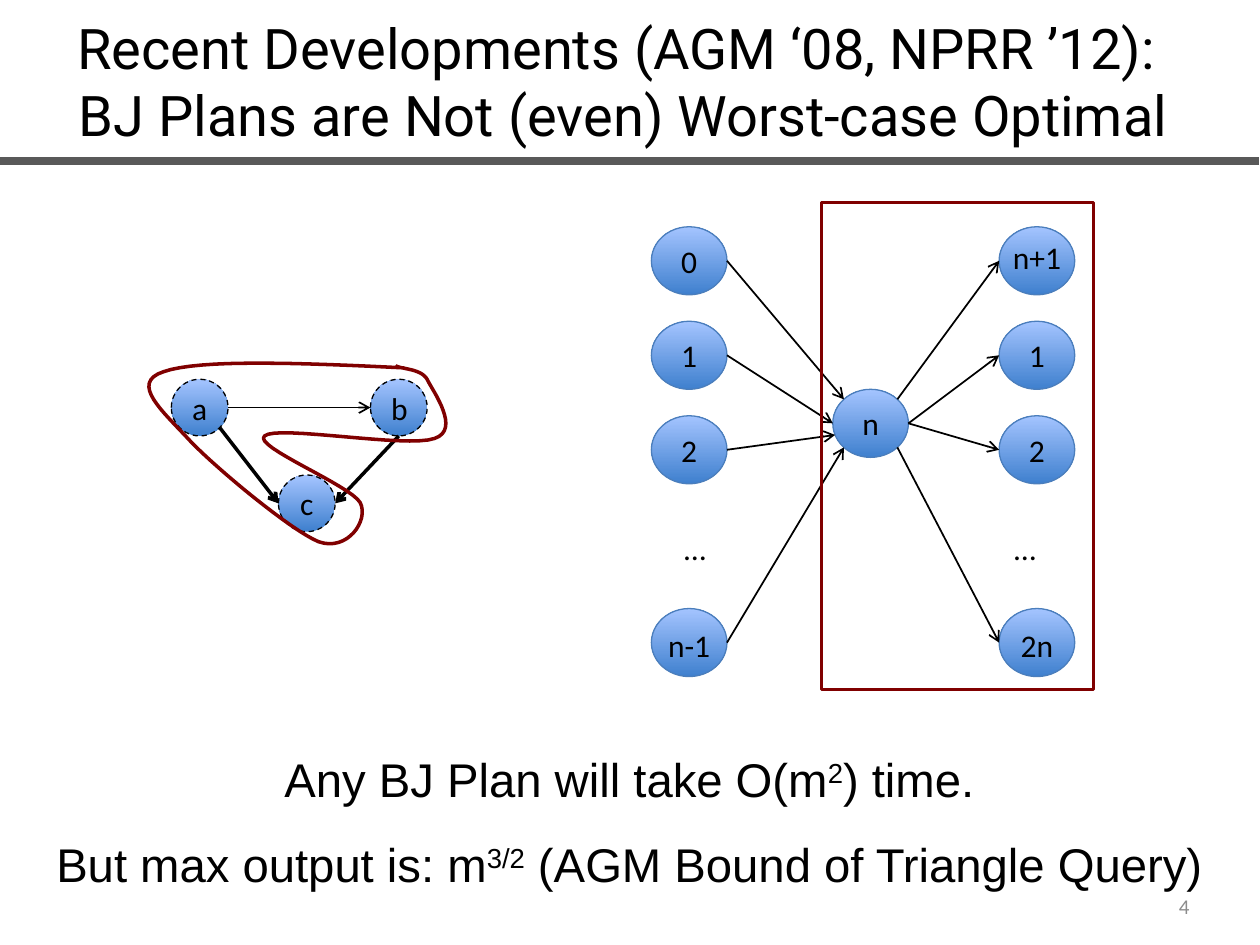
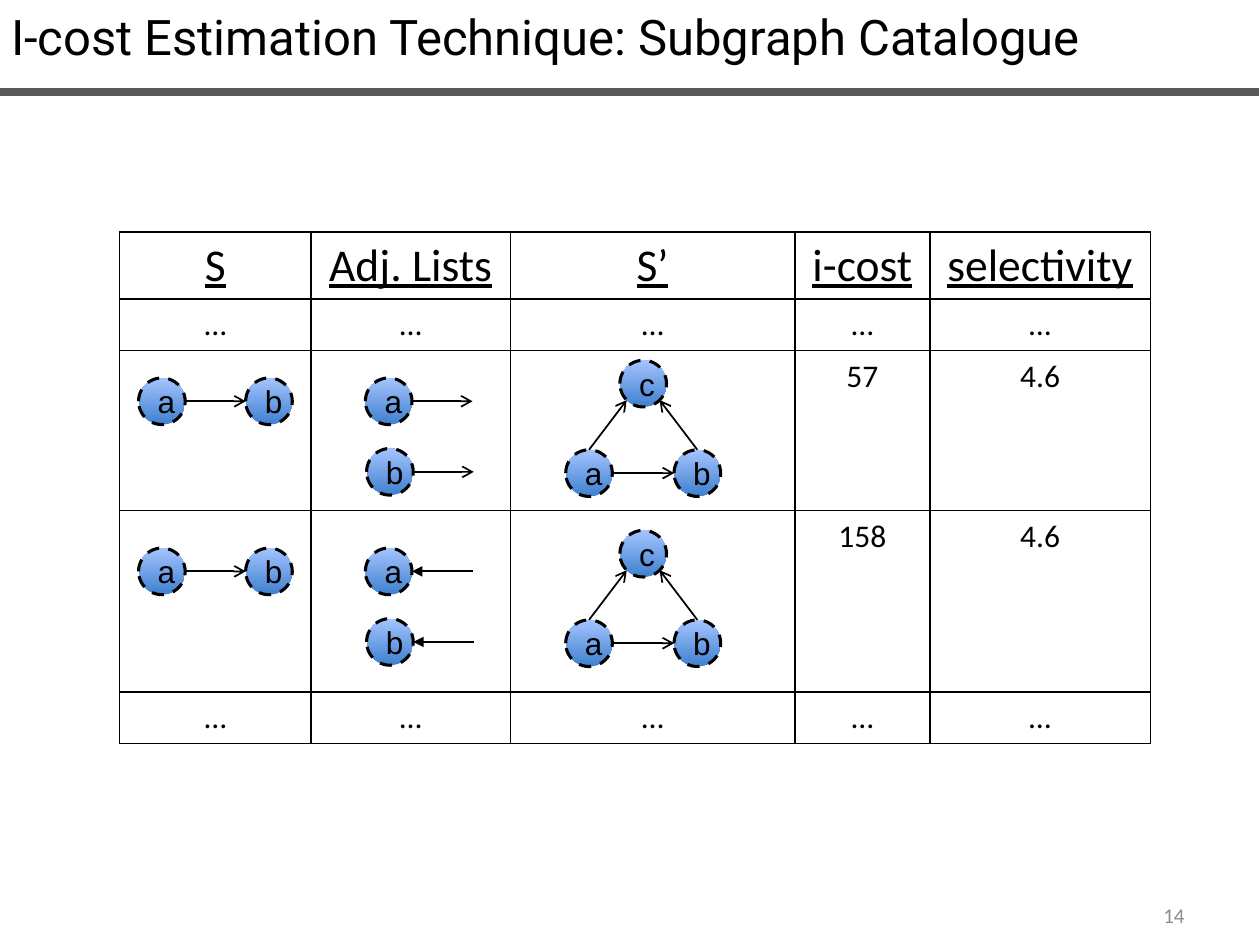
"""Build two slides on join plans and the subgraph catalogue."""
import math

from lxml import etree
from pptx import Presentation
from pptx import util as u
from pptx.dml.color import RGBColor
from pptx.enum import dml, shapes, text
from pptx.oxml.ns import qn

PX = u.Inches(1) // 100
COLOURS = {
    "ink": "000000",
    "band": "595959",
    "number": "8C8C8C",
    "node_low": "3F80CE",
    "node_high": "A4C4FF",
    "node_rim": "4B7EBC",
    "outline": "800000",
}
CENTER = text.PP_ALIGN.CENTER
TITLE = {"name": "Roboto"}
LABEL = {"name": "Calibri", "size": u.Pt(18)}
ARIAL_LABEL = {"name": "Arial", "size": u.Pt(18)}
BODY = {"name": "Arial", "size": u.Pt(27)}
HEADER = {"name": "Calibri", "size": u.Pt(26), "underline": True, "bold": False}
NUMBER = {"name": "Calibri", "size": u.Pt(12)}


def px(*lengths):
    return [round(length * PX) for length in lengths]


def rgb(name):
    return RGBColor.from_string(COLOURS[name])


def set_values(target, values):
    for name, value in values.items():
        setattr(target, name, value)


def set_line(line, colour, points, dashed=False):
    line.color.rgb = rgb(colour)
    line.width = u.Pt(points)
    if dashed:
        line.dash_style = dml.MSO_LINE.DASH


def write(frame, lines, font, colour="ink", align=CENTER, spacing=None):
    """Write lines of runs, in which every second run is superscript."""
    for index, runs in enumerate(lines):
        paragraph = frame.add_paragraph() if index else frame.paragraphs[0]
        set_values(paragraph, {"alignment": align, "line_spacing": spacing})
        for position, words in enumerate(runs):
            run = paragraph.add_run()
            run.text = words
            set_values(run.font, font)
            run.font.color.rgb = rgb(colour)
            if position % 2:
                run.font._element.set("baseline", "30000")


def add_text(slide, box, lines, font, wrap=True, anchor=text.MSO_ANCHOR.TOP, **style):
    frame = slide.shapes.add_textbox(*px(*box)).text_frame
    set_values(frame, {"word_wrap": wrap, "vertical_anchor": anchor})
    write(frame, lines, font, **style)


def add_line(slide, start, end, colour="ink", points=1, head=None):
    connector = slide.shapes.add_connector(
        shapes.MSO_CONNECTOR.STRAIGHT, *px(*start, *end))
    set_line(connector.line, colour, points)
    properties = connector._element.spPr
    if head:
        etree.SubElement(properties.find(qn("a:ln")), qn("a:tailEnd"), type=head)
    etree.SubElement(properties, qn("a:effectLst"))


def add_arrow(slide, start, end, points=1, head="arrow"):
    add_line(slide, start, end, points=points, head=head)


def add_node(slide, box, label="", font=LABEL, rim="ink", points=0.75, dashed=True):
    """Draw a shaded ellipse and return its box."""
    shape = slide.shapes.add_shape(shapes.MSO_SHAPE.OVAL, *px(*box))
    shape.shadow.inherit = False
    shape.fill.gradient()
    shape.fill.gradient_angle = 90
    for stop, colour in zip(shape.fill.gradient_stops, ("node_low", "node_high")):
        stop.color.rgb = rgb(colour)
    set_line(shape.line, rim, points, dashed)
    if label:
        write(shape.text_frame, [[label]], font)
    return box


def rim_point(box, degrees):
    """Return the point on an ellipse, clockwise from its right side."""
    left, top, width, height = box
    angle = math.radians(degrees)
    return (left + width / 2 * (1 + math.cos(angle)),
            top + height / 2 * (1 + math.sin(angle)))


def add_curve(slide, start, segments, steps=16):
    """Draw an open outline along cubic curves."""
    points, here = [], start
    for x1, y1, x2, y2, x3, y3 in segments:
        for step in range(1, steps + 1):
            t = step / steps
            weights = ((1 - t) ** 3, 3 * t * (1 - t) ** 2, 3 * t * t * (1 - t), t ** 3)
            corners = (here, (x1, y1), (x2, y2), (x3, y3))
            points.append(px(*(sum(w * c[axis] for w, c in zip(weights, corners))
                               for axis in (0, 1))))
        here = (x3, y3)
    builder = slide.shapes.build_freeform(*px(*start), scale=1.0)
    builder.add_line_segments(points, close=False)
    shape = builder.convert_to_shape()
    shape.shadow.inherit = False
    shape.fill.background()
    set_line(shape.line, "outline", 2)


def add_slide(presentation, band_y, title_box, title, size, align, number, number_at):
    slide = presentation.slides.add_slide(presentation.slide_layouts[6])
    add_line(slide, (-1, band_y), (999, band_y), "band", 4.5)
    add_text(slide, title_box, [[line] for line in title],
             {**TITLE, "size": u.Pt(size)}, align=align)
    add_text(slide, (*number_at, 233, 40), [[number]], NUMBER, colour="number",
             align=text.PP_ALIGN.RIGHT, anchor=text.MSO_ANCHOR.MIDDLE)
    return slide


def add_query_triangle(slide):
    a, b, c = (add_node(slide, (x, y, 45, 45), label)
               for label, x, y in (("a", 136, 301), ("b", 294, 301), ("c", 221, 377)))
    add_arrow(slide, rim_point(a, 0), rim_point(b, 180))
    add_arrow(slide, rim_point(a, 45), rim_point(c, 180), points=0)
    add_arrow(slide, rim_point(b, 90), rim_point(c, 0), points=0)
    add_curve(slide, (321, 292), [
        (239, 288, 158, 285, 130, 295), (102, 304, 130, 327, 151, 350),
        (172, 372, 231, 421, 253, 430), (276, 438, 293, 413, 286, 399),
        (278, 385, 200, 354, 210, 346), (220, 337, 323, 356, 345, 348),
        (366, 341, 344, 311, 339, 301), (334, 292, 316, 293, 314, 290)])


def add_hub_graph(slide):
    """Draw the sources and targets that meet in node n."""
    style = {"rim": "node_rim", "dashed": False}
    hub = add_node(slide, (661, 309, 60, 54), "n", **style)
    tops = (180, 255, 330, 483)
    columns = ((517, ("0", "1", "2", "n-1"), (225, 180, 160, 135)),
               (793, ("n+1", "1", "2", "2n"), (315, 0, 0, 45)))
    for x, labels, hub_angles in columns:
        for label, top, angle in zip(labels, tops, hub_angles):
            wide = len(label) > 1
            node = add_node(slide, (x, top, 60, 54), "" if wide else label, **style)
            if wide:
                drop = 4 if top == tops[0] else 9
                add_text(slide, (x - 13, top + drop, 86, 36), [[label]], LABEL)
            if x < hub[0]:
                add_arrow(slide, rim_point(node, 0), rim_point(hub, angle))
            else:
                add_arrow(slide, rim_point(hub, angle), rim_point(node, 180))
    for x in (509, 771):
        add_text(slide, (x, 415, 85, 36), [["…"]], LABEL)
    frame = slide.shapes.add_shape(shapes.MSO_SHAPE.RECTANGLE, *px(652, 161, 216, 386))
    frame.shadow.inherit = False
    frame.fill.background()
    set_line(frame.line, "outline", 1.75)


def add_catalogue_entry(slide, top, outgoing):
    """Draw the graphs of one catalogue row."""
    def node(label, x, y):
        return add_node(slide, (x, top + y, 37, 37), label, ARIAL_LABEL, points=1.75)

    a, b = node("a", 110, 14), node("b", 195, 14)
    add_arrow(slide, rim_point(a, 0), rim_point(b, 180))
    for label, x, y in (("a", 290, 14), ("b", 291, 70)):
        near = rim_point(node(label, x, y), 0)
        far = (near[0] + 48, near[1])
        if outgoing:
            add_arrow(slide, near, far)
        else:
            add_arrow(slide, far, near, head="triangle")
    a, b, c = node("a", 449, 71), node("b", 535, 71), node("c", 492, 0)
    add_arrow(slide, rim_point(a, 0), rim_point(b, 180))
    add_arrow(slide, rim_point(a, 270), rim_point(c, 135))
    add_arrow(slide, rim_point(b, 270), rim_point(c, 45))


def set_borders(cell):
    properties = cell._tc.get_or_add_tcPr()
    for side in ("lnL", "lnR", "lnT", "lnB"):
        line = etree.SubElement(properties, qn(f"a:{side}"), w=str(u.Pt(1)))
        fill = etree.SubElement(line, qn("a:solidFill"))
        etree.SubElement(fill, qn("a:srgbClr"), val=COLOURS["ink"])


def add_table(slide, box, widths, heights, rows):
    table = slide.shapes.add_table(len(rows), len(widths), *px(*box)).table
    set_values(table, {"first_row": False, "horz_banding": False})
    for column, width in zip(table.columns, px(*widths)):
        column.width = width
    for row, height in zip(table.rows, px(*heights)):
        row.height = height
    for row_index, row in enumerate(rows):
        for column_index, words in enumerate(row):
            cell = table.cell(row_index, column_index)
            set_borders(cell)
            cell.fill.background()
            if words:
                write(cell.text_frame, [[words]], LABEL if row_index else HEADER)


def main():
    presentation = Presentation()
    set_values(presentation, dict(zip(("slide_width", "slide_height"), px(1000, 750))))

    slide = add_slide(
        presentation, 128, (-2, 6, 994, 118),
        ["Recent Developments (AGM ‘08, NPRR ’12): ",
         "BJ Plans are Not (even) Worst-case Optimal"],
        32, CENTER, "4", (721, 699))
    add_query_triangle(slide)
    add_text(slide, (28, 568, 943, 138),
             [["Any BJ Plan will take O(m", "2", ") time."],
              ["But max output is: m", "3/2", " (AGM Bound of Triangle Query)"]],
             BODY, wrap=False, spacing=1.5)
    add_hub_graph(slide)

    slide = add_slide(
        presentation, 73, (-1, 0, 1013, 57),
        ["I-cost Estimation Technique: Subgraph Catalogue"],
        28, text.PP_ALIGN.LEFT, "14", (717, 706))
    for top, outgoing in ((286, True), (421, False)):
        add_catalogue_entry(slide, top, outgoing)
    more = ["…"] * 5
    add_table(slide, (95, 184, 818, 405), (152, 158, 226, 107, 175),
              (41, 41, 127, 144, 41),
              [["S", "Adj. Lists", "S’", "i-cost", "selectivity"], more,
               ["", "", "", "57", "4.6"], ["", "", "", "158", "4.6"], more])

    presentation.save("out.pptx")


if __name__ == "__main__":
    main()
